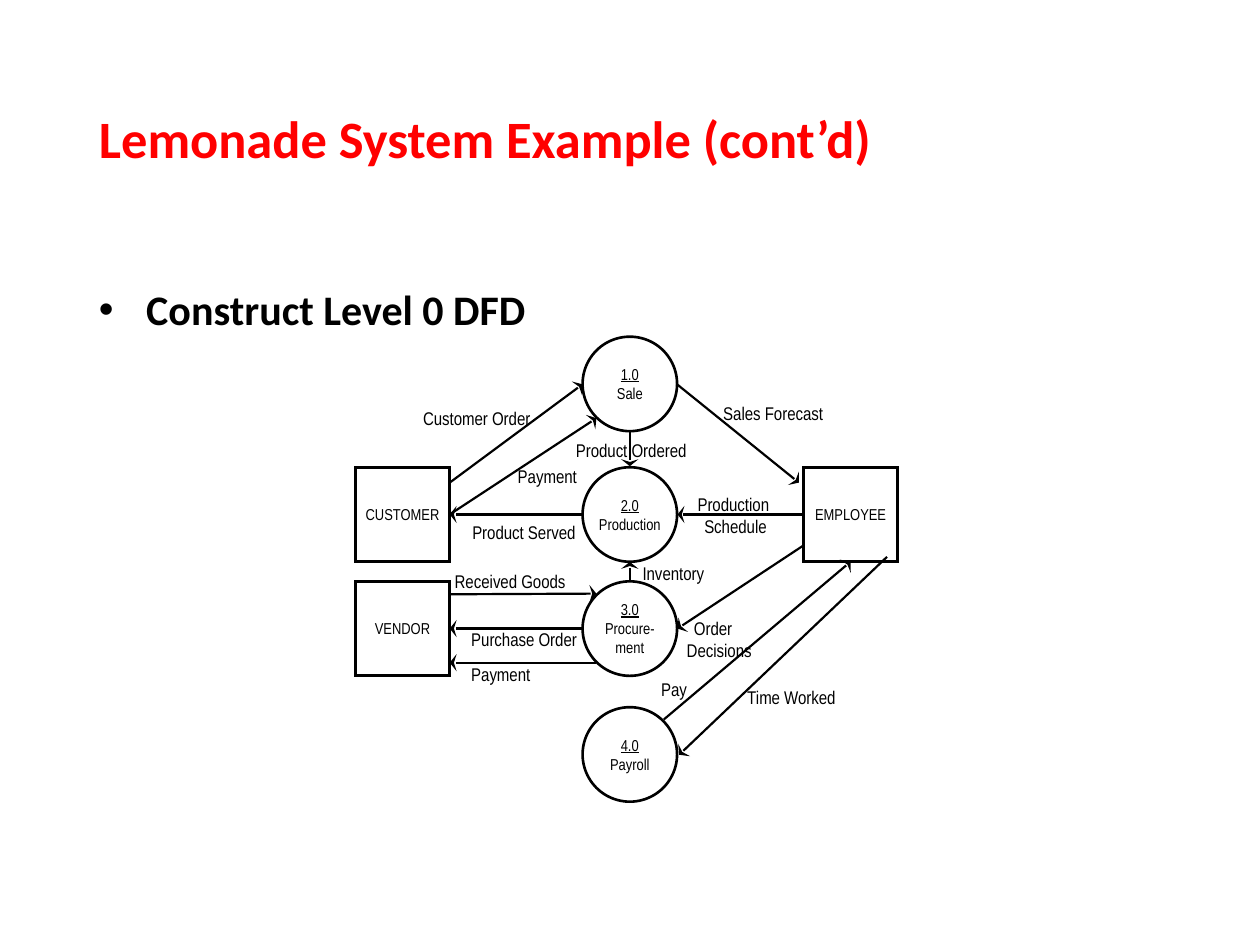
from lxml.etree import SubElement
from pptx import Presentation
from pptx.dml.color import RGBColor
from pptx.enum.shapes import MSO_CONNECTOR, MSO_SHAPE
from pptx.enum.text import MSO_ANCHOR, PP_ALIGN
from pptx.oxml.ns import qn
from pptx.util import Pt

TITLE = "Lemonade System Example (cont’d)"
BULLET = "Construct Level 0 DFD"
BLACK, RED = "000000", "FF0000"
LEFT, CENTER, RIGHT = PP_ALIGN.LEFT, PP_ALIGN.CENTER, PP_ALIGN.RIGHT

SIDE = 54
LABEL_WIDTH, LABEL_HEIGHT = 93.6, 15.8
LABEL_MARGIN = 2.9
COLUMNS = {"outside left": 203, "process": 332.9, "outside right": 459}
ROWS = {1: 192.4, 2: 267, 3: 332.2, 4: 404.1}

ENTITIES = [
    ("CUSTOMER", "outside left", 2),
    ("VENDOR", "outside left", 3),
    ("EMPLOYEE", "outside right", 2),
]
PROCESSES = [("1.0", "Sale", 1), ("2.0", "Production", 2),
             ("3.0", "Procure-ment", 3), ("4.0", "Payroll", 4)]

FLOWS = [
    ((257, 275.8), (332.9, 219.6)),
    (("CUSTOMER", 3), (340.8, 239)),
    ((332.9, 294), ("CUSTOMER", 3)),
    ((386.9, 219.6), (456.5, 275.8)),
    ((359.9, 246.6), (359.9, 266.4)),
    (("EMPLOYEE", 1), (387.2, 294)),
    ((459, 311.8), (387.2, 359.2)),
    ((359.9, 331.6), (359.9, 321.1)),
    ((257, 339.6), (340.8, 339.2)),
    ((332.9, 359.2), ("VENDOR", 3)),
    ((340.8, 378.7), (257, 378.7)),
    ((379.4, 411.1), ("EMPLOYEE", 2)),
    ((506.9, 318.2), (388.1, 431.3)),
]

LABELS = [
    (["Customer Order"], 212.4, 231.1, RIGHT, 0),
    (["Payment"], 293, 264.4, LEFT, 0),
    (["Product Served"], 252.6, 296, CENTER, 0),
    (["Sales Forecast"], 410.4, 228.4, LEFT, 0),
    (["Product Ordered"], 313.9, 249.1, CENTER, 0),
    (["Production", "Schedule"], 372.3, 286.2, CENTER, 2.4),
    (["Order", "Decisions"], 360.7, 357.1, CENTER, 7),
    (["Inventory"], 364.3, 319.7, LEFT, 0),
    (["Received Goods"], 257, 324, LEFT, 0),
    (["Purchase Order"], 239, 357.1, RIGHT, 0),
    (["Payment"], 266.4, 377.3, LEFT, 0),
    (["Pay"], 338.4, 385.9, CENTER, 0),
    (["Time Worked"], 424.1, 390.6, LEFT, 0),
]


def color(hex_string):
    return RGBColor.from_string(hex_string)


def apply(target, formats):
    for attribute, value in formats.items():
        setattr(target, attribute, value)


def write(shape, lines, font, alignment=CENTER, ink=BLACK, side_margin=LABEL_MARGIN,
          anchor=MSO_ANCHOR.MIDDLE):
    frame = shape.text_frame
    apply(frame, {"word_wrap": True, "vertical_anchor": anchor,
                  "margin_left": Pt(side_margin), "margin_right": Pt(side_margin)})
    frame.text = "\n".join(lines)
    for paragraph in frame.paragraphs:
        paragraph.alignment = alignment
        for run in paragraph.runs:
            apply(run.font, font)
            run.font.color.rgb = color(ink)
    return frame.paragraphs


def add_node(kind, lines, column, row, side_margin):
    node = slide.shapes.add_shape(kind, Pt(COLUMNS[column]), Pt(ROWS[row]), Pt(SIDE), Pt(SIDE))
    node.shadow.inherit = False
    node.fill.background()
    node.line.color.rgb = color(BLACK)
    node.line.width = Pt(1.5)
    SubElement(node.line._get_or_add_ln(), qn("a:miter"), lim="800000")
    return node, write(node, lines, NODE_FONT, side_margin=side_margin)


def add_text(left, top, width, height):
    return slide.shapes.add_textbox(Pt(left), Pt(top), Pt(width), Pt(height))


def add_flow(start, end):
    joined = [isinstance(place[0], str) for place in (start, end)]
    points = [(0, 0) if join else place for place, join in zip((start, end), joined)]
    flow = slide.shapes.add_connector(
        MSO_CONNECTOR.STRAIGHT, *[Pt(length) for point in points for length in point])
    if joined[0]:
        flow.begin_connect(entities[start[0]], start[1])
    if joined[1]:
        flow.end_connect(entities[end[0]], end[1])
    flow.line.color.rgb = color(BLACK)
    flow.line.width = Pt(1.25)
    SubElement(flow.line._get_or_add_ln(), qn("a:tailEnd"), type="stealth", w="lg", len="sm")
    SubElement(flow._element.spPr, qn("a:effectLst"))


NODE_FONT = {"name": "Arial Narrow", "size": Pt(9)}
LABEL_FONT = {"name": "Arial Narrow", "size": Pt(10.5)}
TITLE_FONT = {"name": "Calibri", "size": Pt(30), "bold": True}
BULLET_FONT = {"name": "Calibri", "size": Pt(24), "bold": True}

presentation = Presentation()
apply(presentation, {"slide_width": Pt(720), "slide_height": Pt(540)})
slide = presentation.slides.add_slide(presentation.slide_layouts[6])

title = write(add_text(49.5, 28.8, 621, 104.4), [TITLE], TITLE_FONT, LEFT, RED, 7.2)
title[0].line_spacing = 0.9

bullet = write(add_text(49.5, 158.4, 596, 36), [BULLET], BULLET_FONT,
               PP_ALIGN.JUSTIFY, BLACK, 7.2, MSO_ANCHOR.TOP)
bullet_format = bullet[0]._p.get_or_add_pPr()
bullet_format.set("marL", str(Pt(27)))
bullet_format.set("indent", str(Pt(-27)))
SubElement(bullet_format, qn("a:buFont"), typeface="Arial")
SubElement(bullet_format, qn("a:buChar"), char="•")

entities = {}
for name, column, row in ENTITIES:
    entities[name], _ = add_node(MSO_SHAPE.RECTANGLE, [name], column, row, LABEL_MARGIN)

for number, process, row in PROCESSES:
    _, paragraphs = add_node(MSO_SHAPE.OVAL, [number, process], "process", row, 0)
    paragraphs[0].runs[0].font.underline = True

for start, end in FLOWS:
    add_flow(start, end)

for lines, left, top, alignment, indent in LABELS:
    label = add_text(left, top, LABEL_WIDTH, LABEL_HEIGHT)
    paragraphs = write(label, lines, LABEL_FONT, alignment)
    if indent:
        paragraphs[-1]._p.get_or_add_pPr().set("marL", str(Pt(indent)))

presentation.save("out.pptx")
